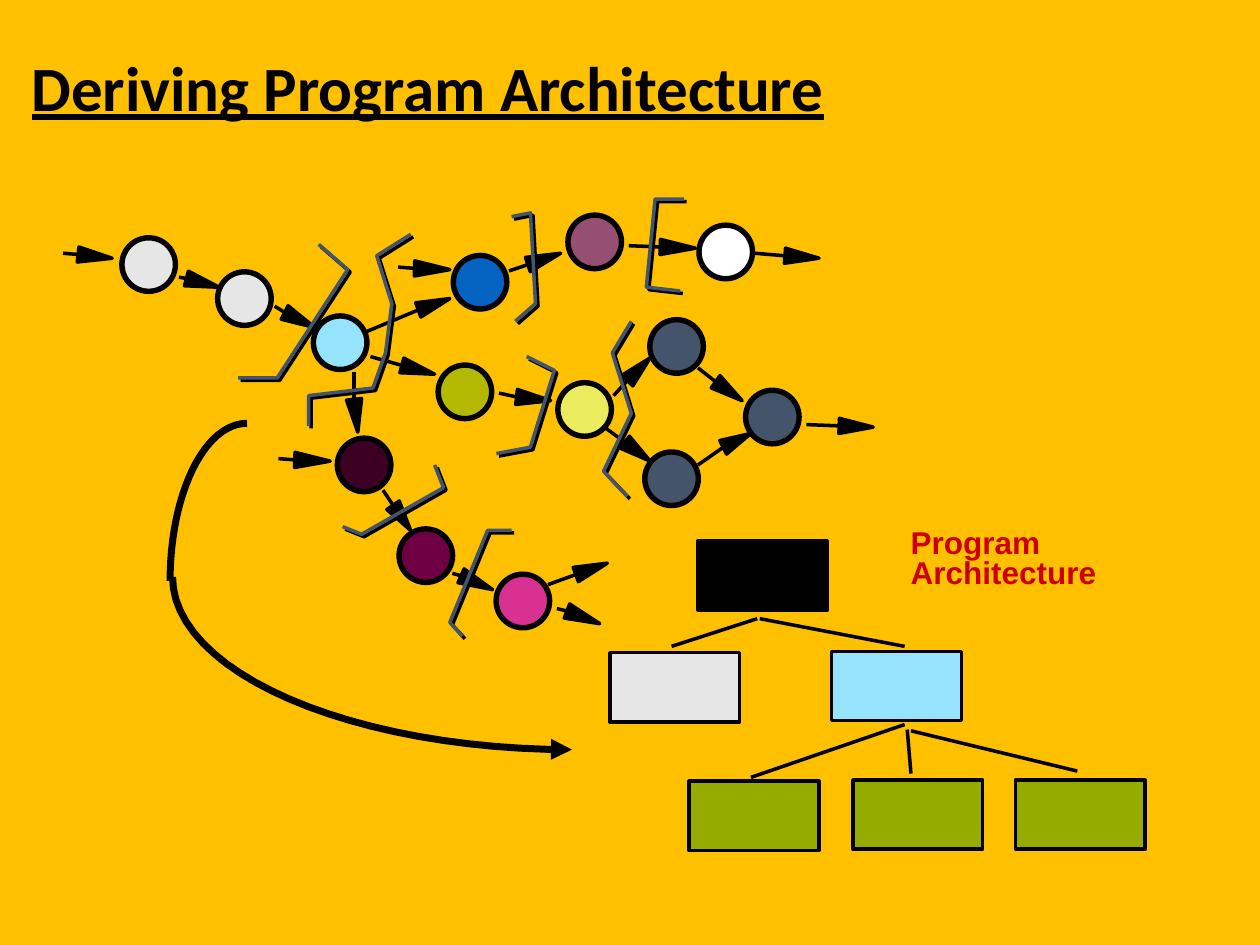
from math import cos, hypot, pi, sin

from lxml import etree
from pptx import Presentation
from pptx.dml.color import RGBColor
from pptx.enum.shapes import MSO_CONNECTOR, MSO_SHAPE
from pptx.enum.text import MSO_ANCHOR, MSO_AUTO_SIZE, PP_ALIGN
from pptx.oxml.ns import qn
from pptx.util import Inches, Pt

STRAIGHT = MSO_CONNECTOR.STRAIGHT
OVAL = MSO_SHAPE.OVAL
RECTANGLE = MSO_SHAPE.RECTANGLE
MIDDLE = MSO_ANCHOR.MIDDLE
NO_FIT = MSO_AUTO_SIZE.NONE
FIT_SHAPE = MSO_AUTO_SIZE.SHAPE_TO_FIT_TEXT
LEFT = PP_ALIGN.LEFT

AMBER = RGBColor(0xFF, 0xC0, 0x00)
BLACK = RGBColor(0x00, 0x00, 0x00)
WHITE = RGBColor(0xFF, 0xFF, 0xFF)
GRAY = RGBColor(0xE7, 0xE6, 0xE6)
SLATE = RGBColor(0x44, 0x54, 0x6A)
BLUE = RGBColor(0x05, 0x63, 0xC1)
SKY = RGBColor(0x96, 0xE3, 0xFE)
MAUVE = RGBColor(0x95, 0x4F, 0x72)
OLIVE = RGBColor(0xB3, 0xB9, 0x00)
YELLOW = RGBColor(0xEA, 0xEC, 0x5E)
GREEN = RGBColor(0x96, 0xAB, 0x00)
DARK_PLUM = RGBColor(0x3C, 0x00, 0x23)
PLUM = RGBColor(0x6E, 0x00, 0x43)
PINK = RGBColor(0xD9, 0x31, 0x92)
RED = RGBColor(0xCC, 0x00, 0x00)

NODES = [
    (1.94, 2.37, GRAY), (1.18, 2.1, GRAY), (3.81, 2.24, BLUE),
    (4.72, 1.92, MAUVE), (5.76, 2, WHITE), (3.69, 3.11, OLIVE),
    (4.64, 3.25, YELLOW), (5.37, 2.75, SLATE), (5.33, 3.8, SLATE),
    (6.13, 3.31, SLATE), (2.89, 3.69, DARK_PLUM), (3.38, 4.41, PLUM),
    (4.15, 4.77, PINK),
]
CENTRAL_NODE = (2.7, 2.72, SKY)

FLOWS = [
    ((0.5, 2.01), (0.62, 2.02), (0.89, 2.05)),
    ((2.21, 3.64), (2.34, 3.65), (2.62, 3.66)),
    ((3.16, 2.12), (3.29, 2.13), (3.57, 2.14)),
    ((1.42, 2.2), (1.48, 2.21), (1.74, 2.28)),
    ((2.18, 2.43), (2.26, 2.48), (2.5, 2.6)),
    ((2.94, 2.83), (3.19, 2.9), (3.45, 2.97)),
    ((2.89, 2.64), (3.32, 2.46), (3.57, 2.37)),
    ((2.81, 2.95), (2.81, 3.17), (2.84, 3.43)),
    ((4.04, 2.15), (4.19, 2.1), (4.45, 2.01)),
    ((4.99, 1.95), (5.24, 1.96), (5.52, 1.97)),
    ((5.99, 2.01), (6.23, 2.03), (6.5, 2.05)),
    ((6.4, 3.37), (6.66, 3.38), (6.93, 3.39)),
    ((3.96, 3.12), (4.1, 3.15), (4.37, 3.18)),
    ((5.54, 3.69), (5.74, 3.55), (5.96, 3.44)),
    ((5.54, 2.92), (5.68, 3.03), (5.89, 3.18)),
    ((4.81, 3.4), (4.96, 3.51), (5.16, 3.66)),
    ((4.87, 3.14), (4.98, 3.02), (5.16, 2.84)),
    ((3.04, 3.89), (3.12, 4.01), (3.26, 4.21)),
    ((3.59, 4.55), (3.66, 4.57), (3.91, 4.68)),
    ((4.42, 4.83), (4.5, 4.85), (4.76, 4.95)),
    ((4.35, 4.64), (4.57, 4.56), (4.82, 4.47)),
]

BOUNDARIES = [
    [(2.53, 1.94), (2.76, 2.14), (2.2, 3), (1.89, 3)],
    [(3.26, 1.86), (2.99, 2.03), (3.11, 2.41), (3.06, 2.8),
     (2.96, 3.08), (2.45, 3.14), (2.45, 3.38)],
    [(4.06, 1.72), (4.21, 1.69), (4.25, 2.41), (4.09, 2.55)],
    [(5.43, 1.58), (5.2, 1.58), (5.13, 2.28), (5.4, 2.31)],
    [(4.18, 2.83), (4.4, 2.94), (4.21, 3.55), (3.94, 3.6)],
    [(5.01, 2.55), (4.86, 2.8), (5.01, 3.28), (4.79, 3.74), (4.98, 3.94)],
    [(3.45, 3.69), (3.52, 3.87), (2.87, 4.24), (2.72, 4.18)],
    [(4.06, 4.21), (3.87, 4.21), (3.57, 4.94), (3.67, 5.05)],
]

MODULES = [
    (5.54, 4.29, BLACK), (4.84, 5.18, GRAY), (6.6, 5.17, SKY),
    (5.47, 6.2, GREEN), (6.77, 6.19, GREEN), (8.06, 6.19, GREEN),
]
MODULE_LINKS = [
    ((6.01, 4.91), (5.33, 5.13)), ((6.03, 4.91), (7.18, 5.13)),
    ((7.18, 5.75), (5.96, 6.17)), ((7.2, 5.79), (7.23, 6.14)),
    ((7.23, 5.8), (8.55, 6.12)),
]


def style(shape, fill=None, line=BLACK, width=2):
    shape.shadow.inherit = False
    if fill is None:
        shape.fill.background()
    else:
        shape.fill.solid()
        shape.fill.fore_color.rgb = fill
    shape.line.color.rgb = line
    shape.line.width = Pt(width)


def add_preset(slide, kind, left, top, width, height, fill=None):
    shape = slide.shapes.add_shape(
        kind, Inches(left), Inches(top), Inches(width), Inches(height))
    style(shape, fill)


def add_node(slide, x, y, color):
    for size, fill in ((0.41, color), (0.44, None)):
        add_preset(slide, OVAL, x - size / 2, y - size / 2, size, size, fill)


def add_outline(slide, points, closed=False, **look):
    (start_x, start_y), *rest = [(Inches(x), Inches(y)) for x, y in points]
    builder = slide.shapes.build_freeform(start_x, start_y)
    builder.add_line_segments(rest, close=closed)
    shape = builder.convert_to_shape()
    style(shape, **look)
    return shape


def add_line(slide, start, end):
    line = slide.shapes.add_connector(
        STRAIGHT, *(Inches(value) for value in (*start, *end)))
    line.line.color.rgb = BLACK
    line.line.width = Pt(2)
    etree.SubElement(line._element.spPr, qn("a:effectLst"))


def add_flow(slide, start, base, tip):
    run, rise = tip[0] - base[0], tip[1] - base[1]
    scale = 0.06 / hypot(run, rise)
    across, down = -rise * scale, run * scale
    corners = [(base[0] + side * across, base[1] + side * down)
               for side in (1, -1)]
    add_outline(slide, [tip, *corners], closed=True, fill=BLACK)
    add_line(slide, start, base)


def add_boundary(slide, points):
    shadow = [(x + 0.02, y + 0.02) for x, y in points]
    add_outline(slide, shadow)
    add_outline(slide, points, line=SLATE)


def add_quarter_arc(slide, center, radii, first_angle):
    steps = 24
    angles = [first_angle + pi / 2 * step / steps for step in range(steps + 1)]
    points = [(center[0] + radii[0] * cos(angle),
               center[1] + radii[1] * sin(angle)) for angle in angles]
    return add_outline(slide, points, width=4)


def format_text(para, font_name, size, color, spacing):
    para.alignment = LEFT
    para.line_spacing = spacing
    for span in para.runs:
        span.font.name = font_name
        span.font.size = Pt(size)
        span.font.bold = True
        span.font.color.rgb = color


def add_title(slide):
    title = slide.shapes.title
    title.left, title.top = Inches(0.15), Inches(0.22)
    title.width, title.height = Inches(8.77), Inches(1)
    frame = title.text_frame
    frame.text = "Deriving Program Architecture"
    frame.vertical_anchor = MIDDLE
    frame.auto_size = NO_FIT
    format_text(frame.paragraphs[0], "Calibri", 36, BLACK, 0.9)
    frame.paragraphs[0].runs[0].font.underline = True


def add_label(slide):
    box = slide.shapes.add_textbox(
        Inches(7.13), Inches(4.16), Inches(2.16), Inches(0.73))
    frame = box.text_frame
    frame.word_wrap = False
    frame.auto_size = FIT_SHAPE
    frame.text = "Program\nArchitecture"
    for para in frame.paragraphs:
        format_text(para, "Arial", 18, RED, 0.8)


def main():
    deck = Presentation()
    deck.slide_width, deck.slide_height = Inches(10), Inches(7.5)
    slide = deck.slides.add_slide(deck.slide_layouts[5])
    slide.background.fill.solid()
    slide.background.fill.fore_color.rgb = AMBER
    add_title(slide)
    for node in NODES:
        add_node(slide, *node)
    for flow in FLOWS:
        add_flow(slide, *flow)
    add_node(slide, *CENTRAL_NODE)
    for points in BOUNDARIES:
        add_boundary(slide, points)
    for left, top, color in MODULES:
        add_preset(slide, RECTANGLE, left, top, 1.03, 0.55, color)
    for start, end in MODULE_LINKS:
        add_line(slide, start, end)
    add_label(slide)
    add_quarter_arc(slide, (1.96, 4.61), (0.61, 1.25), pi)
    sweep = add_quarter_arc(slide, (4.54, 4.58), (3.17, 1.37), pi / 2)
    etree.SubElement(sweep.line._get_or_add_ln(), qn("a:headEnd"), type="triangle")
    deck.save("out.pptx")


if __name__ == "__main__":
    main()
